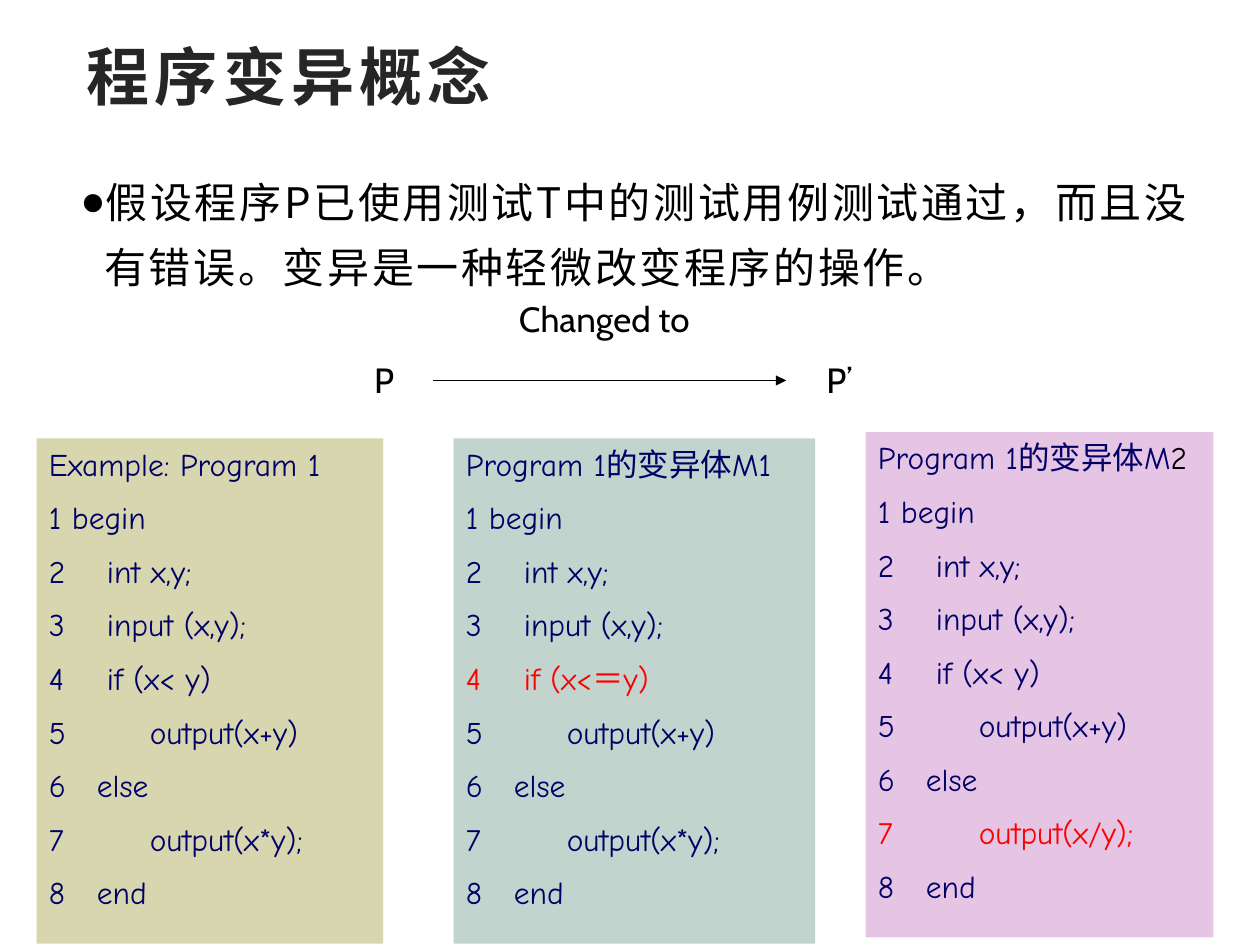
from typing import NamedTuple

from lxml.etree import SubElement
from pptx import Presentation
from pptx.dml.color import RGBColor
from pptx.enum.shapes import MSO_CONNECTOR, MSO_SHAPE
from pptx.enum.text import MSO_ANCHOR as Anchor, PP_ALIGN as Align
from pptx.oxml.ns import qn
from pptx.util import Inches, Pt

COLORS = {
    "title": "262626", "ink": "000000", "code": "000066", "mutant": "FF0000",
    "olive": "D7D6AE", "sage": "C2D4CD", "pink": "E6C4E4",
}
CJK_FONT = "Noto Sans CJK SC"
CELL = Inches(0.1)  # the slide is a grid of 100 columns by 75 rows
HANG = 0.38  # inches from line number to code
STEP_INDENT = {"block": 0, "statement": 0.08, "branch": 0.42}


class Area(NamedTuple):
    col: float
    row: float
    cols: float
    rows: float

    def emu(self) -> list[int]:
        return [round(cells * CELL) for cells in self]


class Style(NamedTuple):
    font: str
    size: float
    color: str
    bold: bool = False
    spacing: float = 0


class Code(NamedTuple):
    text: str
    depth: str
    color: str = "code"


class Panel(NamedTuple):
    area: Area
    fill: str
    heading: list[tuple[str, str]]
    changes: dict[int, str]


class Label(NamedTuple):
    text: str
    area: Area


TITLE = Style("Arial", 36, "title", True, 3)
BODY = Style(CJK_FONT, 24, "ink", False, 1.5)
LABEL = Style("Cabin", 20, "ink")
CODE = Style("Comic Neue", 18, "code")

PROGRAM = {
    2: Code("int x,y;", "statement"),
    3: Code("input (x,y);", "statement"),
    4: Code("if (x< y)", "statement"),
    5: Code("output(x+y)", "branch"),
    6: Code("else", "block"),
    7: Code("output(x*y);", "branch"),
    8: Code("end", "block"),
}
PANELS = [
    Panel(Area(2.9, 34.8, 27.5, 40.1), "olive",
          [("Example: Program 1", "code")], {}),
    Panel(Area(36, 34.8, 28.7, 40.1), "sage",
          [("Program 1的变异体M1", "code")], {4: "if (x<＝y)"}),
    Panel(Area(68.7, 34.3, 27.6, 40.1), "pink",
          [("Program 1的变异体M", "code"), ("2", "ink")], {7: "output(x/y);"}),
]
LABELS = [
    Label("Changed to", Area(40.2, 23.1, 16.9, 4.3)),
    Label("P", Area(28.7, 28, 3.5, 4.3)),
    Label("P’", Area(64.6, 28, 4.1, 4.3)),
]


def rgb(name: str) -> RGBColor:
    return RGBColor.from_string(COLORS[name])


def add_run(paragraph, text: str, style: Style) -> None:
    run = paragraph.add_run()
    run.text = text
    formats = {"name": style.font, "size": Pt(style.size), "bold": style.bold}
    for attribute, value in formats.items():
        setattr(run.font, attribute, value)
    run.font.color.rgb = rgb(style.color)
    properties = run.font._element
    if style.spacing:
        properties.set("spc", str(round(style.spacing * 100)))
    SubElement(properties, qn("a:ea"), typeface=CJK_FONT)


def hang(paragraph, left: float):
    """Give a hanging indent in inches and return the paragraph properties."""
    properties = paragraph._p.get_or_add_pPr()
    properties.set("marL", str(Inches(left)))
    properties.set("indent", str(-Inches(left)))
    return properties


def add_text(slide, area: Area, text: str, style: Style, wrap: bool = True):
    frame = slide.shapes.add_textbox(*area.emu()).text_frame
    frame.word_wrap = wrap
    add_run(frame.paragraphs[0], text, style)
    return frame


def add_code_line(paragraph, runs: list[tuple[str, str]],
                  left: float = HANG, numbered: bool = False) -> None:
    paragraph.alignment = Align.LEFT
    properties = hang(paragraph, left)
    before = SubElement(properties, qn("a:spcBef"))
    SubElement(before, qn("a:spcPct"), val="50000")
    if numbered:
        SubElement(properties, qn("a:buFont"), typeface=CODE.font)
        SubElement(properties, qn("a:buAutoNum"), type="arabicPlain", startAt="2")
    for text, color in runs:
        add_run(paragraph, text, CODE._replace(color=color))


def add_panel(slide, panel: Panel) -> None:
    box = slide.shapes.add_shape(MSO_SHAPE.RECTANGLE, *panel.area.emu())
    box.shadow.inherit = False
    box.fill.solid()
    box.fill.fore_color.rgb = rgb(panel.fill)
    box.line.fill.background()
    frame = box.text_frame
    frame.word_wrap = True
    frame.vertical_anchor = Anchor.TOP
    add_code_line(frame.paragraphs[0], panel.heading)
    add_code_line(frame.add_paragraph(), [("1 begin", "code")])
    for number, code in PROGRAM.items():
        if number in panel.changes:
            code = code._replace(text=panel.changes[number], color="mutant")
        add_code_line(frame.add_paragraph(), [(code.text, code.color)],
                      HANG + STEP_INDENT[code.depth], numbered=True)


def add_arrow(slide, start_col: float, end_col: float, row: float) -> None:
    ends = [round(cells * CELL) for cells in (start_col, row, end_col, row)]
    arrow = slide.shapes.add_connector(MSO_CONNECTOR.STRAIGHT, *ends)
    arrow.line.color.rgb = rgb("ink")
    arrow.line.width = Pt(1)
    SubElement(arrow.line._get_or_add_ln(), qn("a:tailEnd"), type="triangle")
    SubElement(arrow._element.spPr, qn("a:effectLst"))


def main() -> None:
    deck = Presentation()
    deck.slide_width, deck.slide_height = 100 * CELL, 75 * CELL
    slide = deck.slides.add_slide(deck.slide_layouts[6])

    title = add_text(slide, Area(5.9, 2.1, 90, 7.7), "程序变异概念", TITLE)
    title.vertical_anchor = Anchor.MIDDLE

    body = add_text(
        slide, Area(5.4, 12.3, 90, 52),
        "假设程序P已使用测试T中的测试用例测试通过，而且没有错误。变异是一种轻微改变程序的操作。",
        BODY)
    premise = body.paragraphs[0]
    premise.line_spacing = 1.3
    premise.space_after = Pt(10)
    bullet = hang(premise, 0.19)
    SubElement(bullet, qn("a:buFont"), typeface="Arial")
    SubElement(bullet, qn("a:buChar"), char="●")

    for panel in PANELS:
        add_panel(slide, panel)
    for label in LABELS:
        add_text(slide, label.area, label.text, LABEL, wrap=False)
    add_arrow(slide, 34.4, 62.4, 30.2)
    deck.save("out.pptx")


if __name__ == "__main__":
    main()
